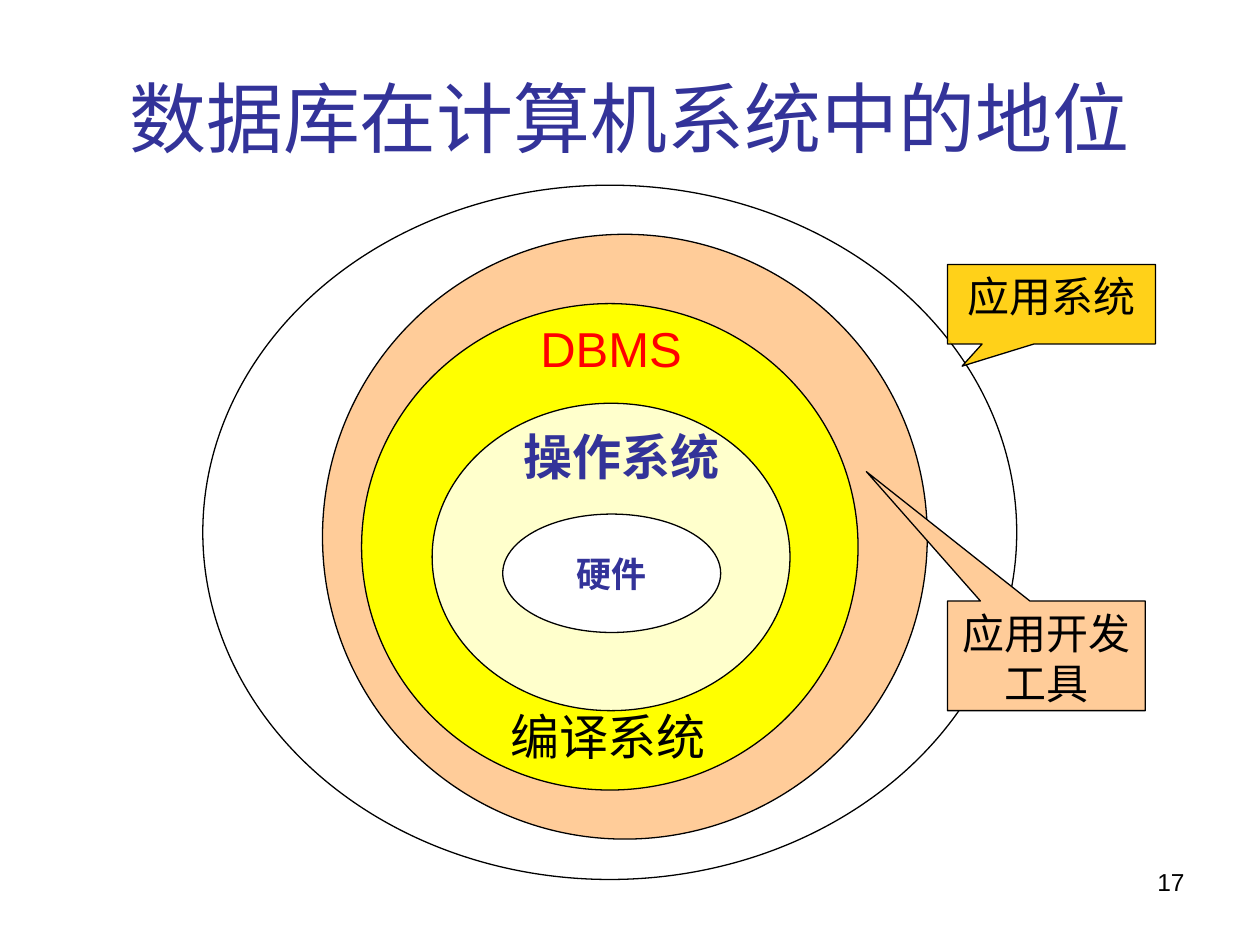
from lxml.etree import SubElement
from pptx import Presentation
from pptx.dml.color import RGBColor
from pptx.enum.shapes import MSO_SHAPE as Shape
from pptx.enum.text import MSO_ANCHOR as Anchor, PP_ALIGN as Align
from pptx.oxml.ns import qn
from pptx.util import Inches, Pt

WIDTH, HEIGHT = Inches(10), Inches(7.5)
BLACK, WHITE, NAVY, PEACH = "000000", "FFFFFF", "333399", "FFCC99"


def color(value):
    return RGBColor.from_string(value)


def area(left, top, width, height):
    """Turn percentages of the slide into lengths."""
    return [round(share * side / 100) for share, side in
            zip((left, top, width, height), (WIDTH, HEIGHT) * 2)]


def write(shape, text, size, ink, font="Times New Roman", bold=False,
          align=Align.LEFT, anchor=Anchor.TOP, wrap=True):
    frame = shape.text_frame
    frame.word_wrap = wrap
    frame.vertical_anchor = anchor
    frame.text = text
    para = frame.paragraphs[0]
    para.alignment = align
    para.font.name = font
    para.font.size = Pt(size)
    para.font.bold = bold
    para.font.color.rgb = color(ink)


def add_title(page, text):
    title = page.shapes.title
    title.left, title.top, title.width, title.height = area(5, 4, 90, 16.67)
    write(title, text, 44, NAVY, "Arial", align=Align.CENTER, anchor=Anchor.MIDDLE)


def add_label(page, place, text, size, ink, **style):
    box = page.shapes.add_textbox(*area(*place))
    write(box, text, size, ink, **style)


def add_outlined(page, kind, place, fill, opacity=100):
    shape = page.shapes.add_shape(kind, *area(*place))
    shape.shadow.inherit = False
    shape.fill.solid()
    shape.fill.fore_color.rgb = color(fill)
    shape.line.color.rgb = color(BLACK)
    shape.line.width = Pt(0.75)
    if opacity < 100:
        tint = shape._element.spPr.find(qn("a:solidFill"))[0]
        SubElement(tint, qn("a:alpha")).set("val", str(opacity * 1000))
    return shape


def add_layer(page, place, fill, opacity=100):
    return add_outlined(page, Shape.OVAL, place, fill, opacity)


def add_callout(page, place, tip, text, fill, opacity=100):
    callout = add_outlined(page, Shape.RECTANGULAR_CALLOUT, place, fill, opacity)
    callout.adjustments[0], callout.adjustments[1] = tip
    write(callout, text, 24, BLACK, align=Align.CENTER)


def main():
    deck = Presentation()
    deck.slide_width, deck.slide_height = WIDTH, HEIGHT
    page = deck.slides.add_slide(deck.slide_layouts[5])
    add_title(page, "数据库在计算机系统中的地位")
    add_label(page, (71.7, 91.07, 23.3, 6.93), "17", 14, BLACK,
              font="Arial", align=Align.RIGHT)

    add_layer(page, (16.1, 19.6, 64.6, 73.47), WHITE, 90)
    add_callout(page, (75.2, 28, 16.5, 8.4), (-0.43, 0.78), "应用系统", "FFCC00", 90)

    add_layer(page, (25.6, 24.8, 48, 64), PEACH)
    add_callout(page, (75.2, 63.6, 15.7, 11.6), (-0.91, -1.68), "应用开发工具", PEACH)

    add_layer(page, (28.7, 32.13, 39.4, 51.47), "FFFF00")
    add_label(page, (41.9, 33.07, 18.9, 7.6), "DBMS", 28, "FF0000", font="Arial")

    add_layer(page, (34.3, 42.67, 28.4, 32.53), "FFFFCC")
    add_label(page, (40.6, 44.53, 18.1, 7.6), "操作系统", 28, NAVY, bold=True)

    hardware = add_layer(page, (39.9, 54.4, 17.3, 12.53), WHITE)
    write(hardware, "硬件", 20, NAVY, bold=True, align=Align.CENTER,
          anchor=Anchor.MIDDLE, wrap=False)
    add_label(page, (39.5, 74.13, 18.1, 7.6), "编译系统", 28, BLACK)

    deck.save("out.pptx")


if __name__ == "__main__":
    main()
